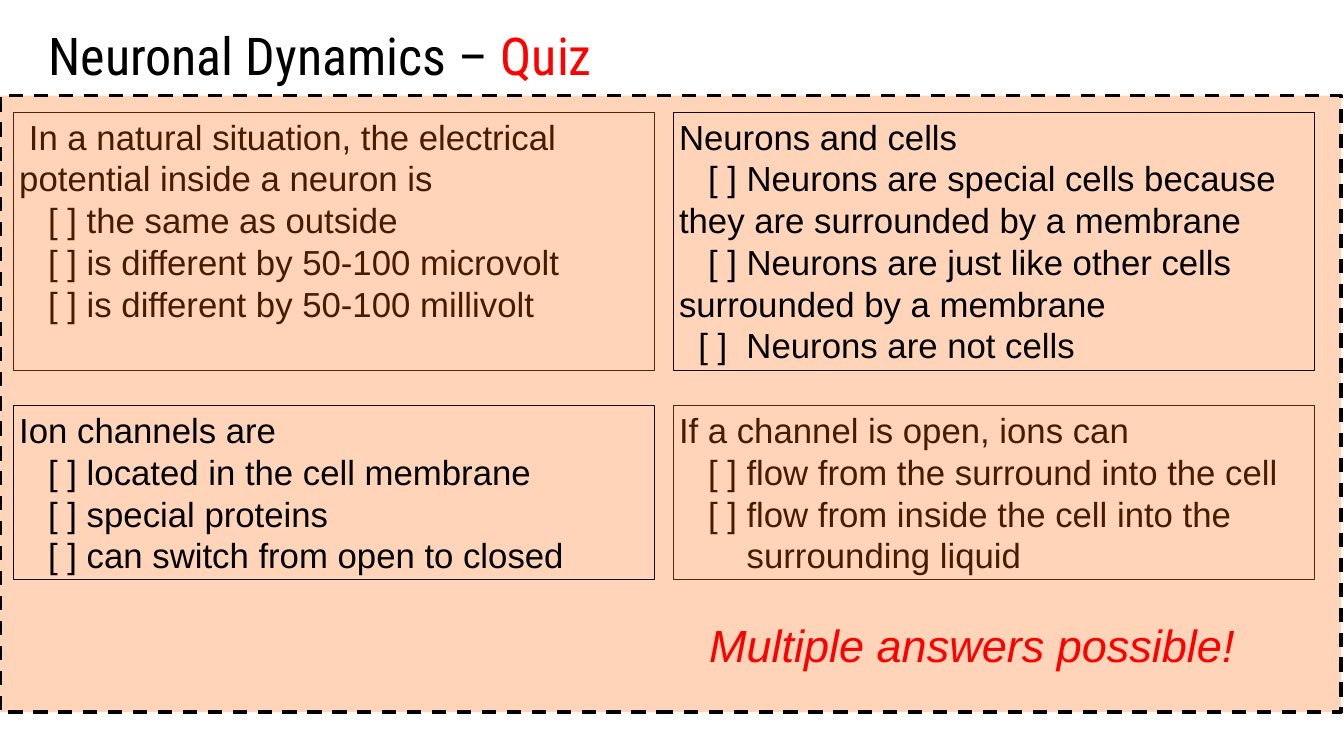
"""Build the Neuronal Dynamics quiz slide."""
from dataclasses import dataclass

from lxml.etree import SubElement
from pptx import Presentation
from pptx.dml.color import RGBColor as RGB
from pptx.enum.dml import MSO_LINE_DASH_STYLE as DASH
from pptx.enum.shapes import MSO_SHAPE as SHAPE
from pptx.enum.text import MSO_ANCHOR as ANCHOR, PP_ALIGN as ALIGN
from pptx.oxml.ns import qn
from pptx.util import Inches, Pt

BLACK = RGB(0x00, 0x00, 0x00)
RED = RGB(0xFF, 0x00, 0x00)
ORANGE = RGB(0xFF, 0x66, 0x00)
EDGE = RGB(0x0D, 0x0D, 0x0D)

SLIDE_W, SLIDE_H = 23.63, 13.29
LEFT, COL_STEP, BOX_W = 0.24, 11.6, 11.26
ROW_TOPS, ROW_HEIGHTS = (1.97, 7.13), (4.54, 3.06)
SPACE = 0.17
OPTION, CONTINUED = 3, 7

BODY = {"name": "Arial", "size": Pt(44)}
TITLE = {"name": "Roboto Condensed", "size": Pt(66)}
HINT = {"name": "Arial", "size": Pt(57), "italic": True}


@dataclass(frozen=True)
class Line:
    text: str
    indent: int = OPTION


@dataclass(frozen=True)
class Question:
    col: int
    row: int
    lines: tuple[Line, ...]


BEHIND = (
    Question(0, 0, (
        Line("In a natural situation, the electrical potential inside a neuron is", 1),
        Line("[ ] the same as outside"),
        Line("[ ] is different by 50-100 microvolt"),
        Line("[ ] is different by 50-100 millivolt"))),
    Question(1, 1, (
        Line("If a channel is open, ions can", 0),
        Line("[ ] flow from the surround into the cell"),
        Line("[ ] flow from inside the cell into the"),
        Line("surrounding liquid", CONTINUED))),
)
IN_FRONT = (
    Question(1, 0, (
        Line("Neurons and cells", 0),
        Line("[ ] Neurons are special cells because they are surrounded by a membrane"),
        Line("[ ] Neurons are just like other cells surrounded by a membrane"),
        Line("[ ]  Neurons are not cells", 2))),
    Question(0, 1, (
        Line("Ion channels are", 0),
        Line("[ ] located in the cell membrane"),
        Line("[ ] special proteins"),
        Line("[ ] can switch from open to closed"))),
)


def set_frame(tf, side: float, wrap: bool = True) -> None:
    frame = {"margin_left": Inches(side), "margin_right": Inches(side),
             "margin_top": Inches(0.06), "margin_bottom": Inches(0.06),
             "vertical_anchor": ANCHOR.TOP, "word_wrap": wrap}
    for key, value in frame.items():
        setattr(tf, key, value)


def add_run(p, text: str, style: dict, color: RGB) -> None:
    r = p.add_run()
    r.text = text
    for key, value in style.items():
        setattr(r.font, key, value)
    r.font.color.rgb = color


def add_rect(s, left: float, top: float, width: float, height: float,
             color: RGB, weight: float):
    sp = s.shapes.add_shape(SHAPE.RECTANGLE, *map(Inches, (left, top, width, height)))
    sp.shadow.inherit = False
    sp.fill.background()
    sp.line.color.rgb = color
    sp.line.width = Pt(weight)
    return sp


def add_question(s, question: Question) -> None:
    sp = add_rect(s, LEFT + question.col * COL_STEP, ROW_TOPS[question.row],
                  BOX_W, ROW_HEIGHTS[question.row], EDGE, 0.75)
    tf = sp.text_frame
    set_frame(tf, 0.1)
    for i, line in enumerate(question.lines):
        p = tf.add_paragraph() if i else tf.paragraphs[0]
        p.alignment = ALIGN.LEFT
        pPr = p._p.get_or_add_pPr()
        pPr.set("marL", "0")
        pPr.set("indent", str(Inches(line.indent * SPACE)))
        add_run(p, line.text, BODY, BLACK)


def add_panel(s) -> None:
    sp = add_rect(s, 0, 1.68, 23.58, 10.84, BLACK, 4.5)
    sp.line.dash_style = DASH.DASH
    sp.fill.solid()
    sp.fill.fore_color.rgb = ORANGE
    color = sp._element.spPr.find(qn("a:solidFill"))[0]
    SubElement(color, qn("a:alpha"), val="28000")


def add_text(s, left: float, top: float, width: float, height: float,
             runs: tuple[tuple[str, RGB], ...], style: dict,
             side: float, wrap: bool) -> None:
    sp = s.shapes.add_textbox(*map(Inches, (left, top, width, height)))
    set_frame(sp.text_frame, side, wrap)
    p = sp.text_frame.paragraphs[0]
    for text, color in runs:
        add_run(p, text, style, color)


def main() -> None:
    prs = Presentation()
    prs.slide_width, prs.slide_height = Inches(SLIDE_W), Inches(SLIDE_H)
    s = prs.slides.add_slide(prs.slide_layouts[6])
    add_text(s, 0.76, 0.35, 22.81, 1.61,
             (("Neuronal Dynamics – ", BLACK), ("Quiz", RED)), TITLE, 0.09, True)
    for question in BEHIND:
        add_question(s, question)
    add_panel(s)
    for question in IN_FRONT:
        add_question(s, question)
    add_text(s, 12.37, 10.79, 9.54, 1.06,
             (("Multiple answers possible!", RED),), HINT, 0.1, False)
    prs.save("out.pptx")


if __name__ == "__main__":
    main()
